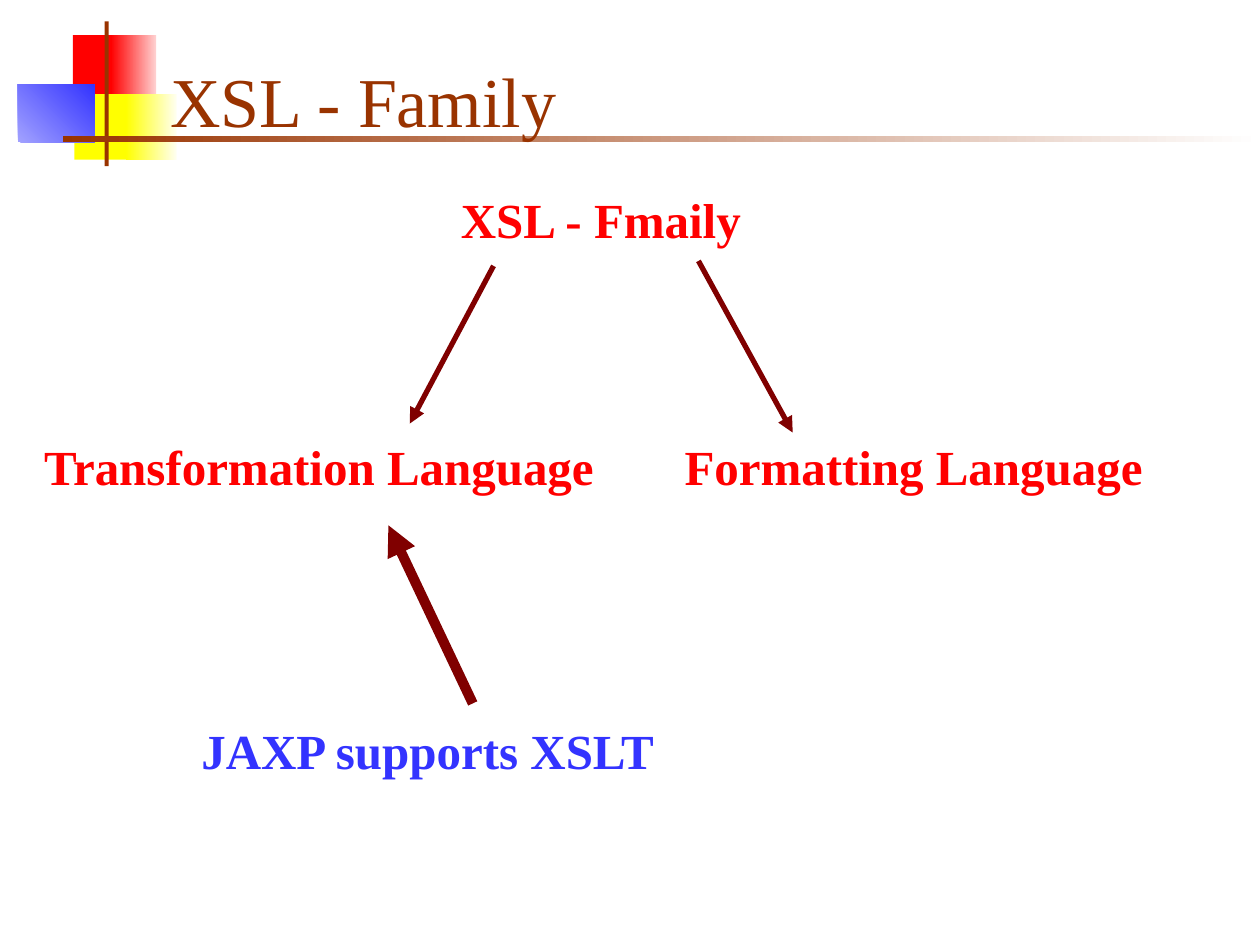
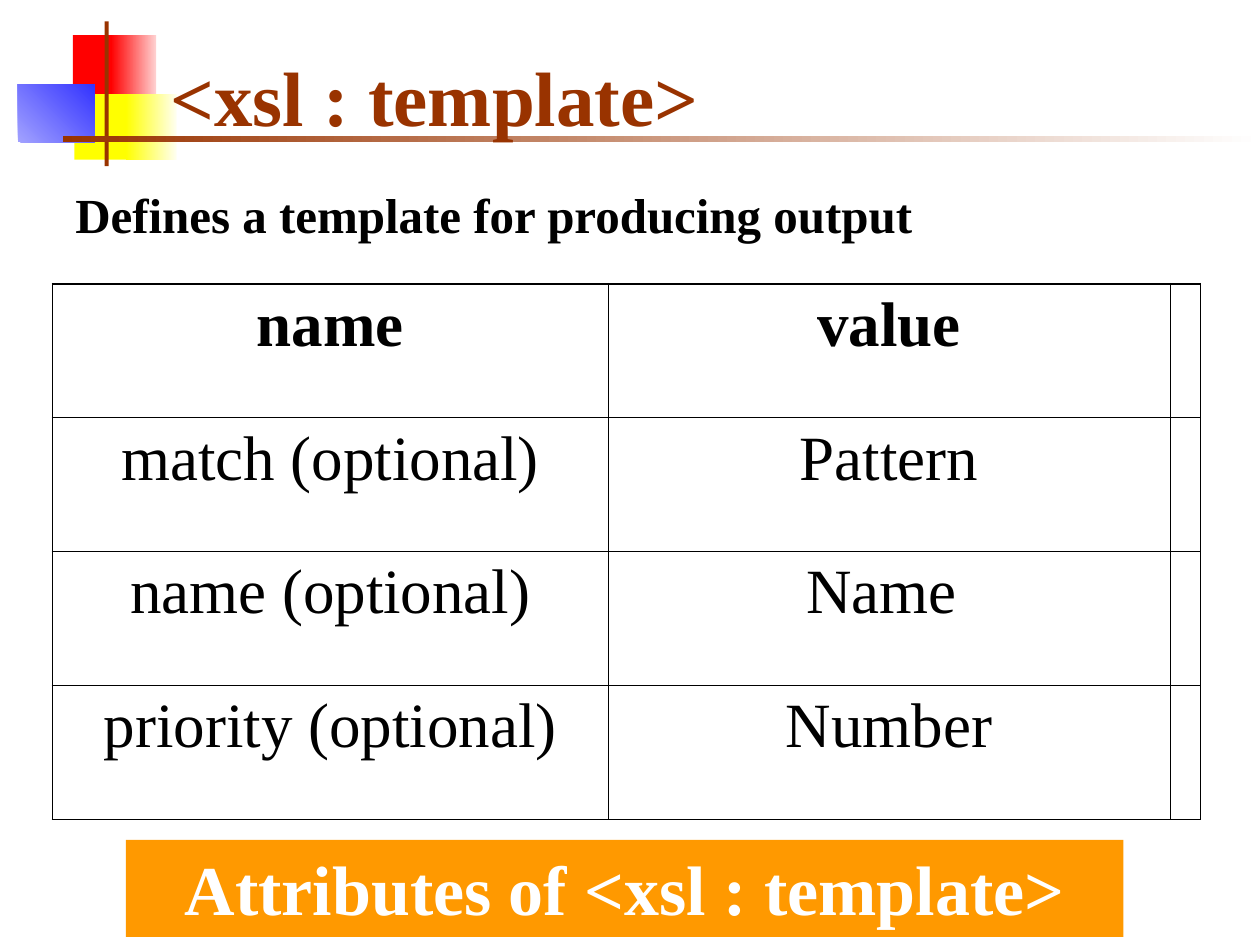
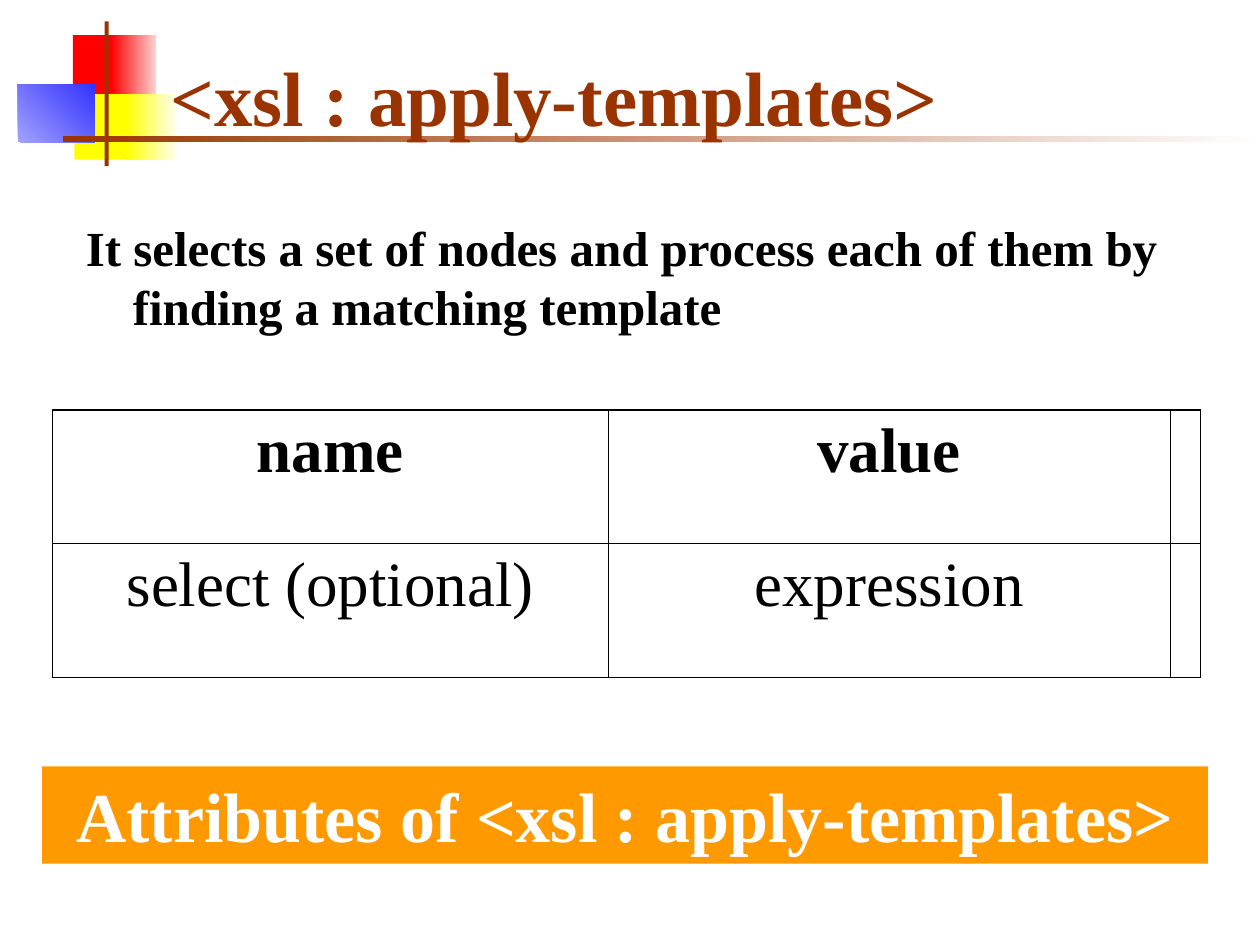
from lxml.etree import SubElement
from pptx import Presentation
from pptx.dml.color import RGBColor
from pptx.enum.shapes import MSO_CONNECTOR as Connector, MSO_SHAPE as Shape
from pptx.enum.text import MSO_ANCHOR as Anchor, MSO_AUTO_SIZE as AutoSize, PP_ALIGN as Align
from pptx.oxml.ns import qn
from pptx.util import Cm, Pt

FONT = "Times New Roman"
COLOURS = {
    "brown": "993300", "red": "FF0000", "pale red": "FFD1D1",
    "yellow": "FFFF00", "pale yellow": "FFFFF0", "blue": "3333FF",
    "pale blue": "A2A2FF", "maroon": "800000", "orange": "FF9900",
    "black": "000000", "white": "FFFFFF",
}
TITLE_BOX = (3.18, 0.64, 21.64, 2.34)
EMBLEM = [
    ((1.47, 0.71, 0.89, 1.32), ["red"], 0),
    ((2.24, 0.71, 0.91, 1.32), ["red", "pale red"], 0),
    ((1.5, 1.9, 1.17, 1.32), ["yellow"], 0),
    ((2.54, 1.9, 1.02, 1.32), ["yellow", "pale yellow"], 0),
    ((0.36, 1.7, 1.55, 1.17), ["pale blue", "blue"], 45),
    ((2.11, 0.43, 0.08, 2.92), ["brown"], 0),
    ((1.27, 2.74, 24.13, 0.13), ["brown", "white"], 0),
]
COLUMN_WIDTHS = (11.2, 11.33, 0.61)
ROW_HEIGHT = 2.7
OUTER_BORDER, INNER_BORDER = 1.08, 0.45


def colour(name):
    return RGBColor.from_string(COLOURS[name])


def lengths(box):
    return [Cm(value) for value in box]


def style_runs(paragraph, size, ink, bold=True):
    for run in paragraph.runs:
        run.font.name = FONT
        run.font.size = Pt(size)
        run.font.bold = bold
        run.font.color.rgb = colour(ink)


def add_block(slide, box, fills, angle=0):
    block = slide.shapes.add_shape(Shape.RECTANGLE, *lengths(box))
    block.shadow.inherit = False
    block.line.fill.background()
    if len(fills) == 1:
        block.fill.solid()
        block.fill.fore_color.rgb = colour(fills[0])
    else:
        block.fill.gradient()
        block.fill.gradient_angle = angle
        for stop, name in zip(block.fill.gradient_stops, fills):
            stop.color.rgb = colour(name)
    return block


def move_emblem_to_layout(slide):
    tree = slide.slide_layout.shapes.element
    for number, (box, fills, angle) in enumerate(EMBLEM, start=20):
        emblem_part = add_block(slide, box, fills, angle).element
        emblem_part.nvSpPr.cNvPr.set("id", str(number))
        tree.append(emblem_part)


def add_titled_slide(deck, title, size=44, bold=True):
    slide = deck.slides.add_slide(deck.slide_layouts[5])
    heading = slide.shapes.title
    heading.left, heading.top, heading.width, heading.height = lengths(TITLE_BOX)
    frame = heading.text_frame
    frame.text = title
    frame.auto_size = AutoSize.NONE
    frame.vertical_anchor = Anchor.BOTTOM
    frame.paragraphs[0].alignment = Align.LEFT
    style_runs(frame.paragraphs[0], size, "brown", bold)
    return slide


def write_hanging(frame, text, size, ink, space_before, align=Align.LEFT):
    frame.text = text
    frame.word_wrap = True
    frame.auto_size = AutoSize.SHAPE_TO_FIT_TEXT
    frame.vertical_anchor = Anchor.TOP
    paragraph = frame.paragraphs[0]
    paragraph.alignment = align
    paragraph.space_before = Pt(space_before)
    properties = paragraph._p.get_or_add_pPr()
    properties.set("marL", str(Cm(0.95)))
    properties.set("indent", str(-Cm(0.95)))
    style_runs(paragraph, size, ink)


def add_statement(slide, box, text, ink):
    statement = slide.shapes.add_textbox(*lengths(box))
    write_hanging(statement.text_frame, text, 28, ink, 17.5)


def add_banner(slide, box, text):
    banner = add_block(slide, box, ["orange"])
    write_hanging(banner.text_frame, text, 40, "white", 25, Align.CENTER)


def add_arrow(slide, ends, width):
    arrow = slide.shapes.add_connector(Connector.STRAIGHT, *lengths(ends))
    arrow.line.color.rgb = colour("maroon")
    arrow.line.width = Pt(width)
    properties = arrow.element.spPr
    SubElement(properties.find(qn("a:ln")), qn("a:tailEnd"), type="triangle")
    SubElement(properties, qn("a:effectLst"))


def draw_borders(cell, outer_sides):
    properties = cell._tc.get_or_add_tcPr()
    for side in "LRTB":
        width = OUTER_BORDER if side in outer_sides else INNER_BORDER
        border = SubElement(properties, qn(f"a:ln{side}"), w=str(Pt(width)))
        fill = SubElement(border, qn("a:solidFill"))
        SubElement(fill, qn("a:srgbClr"), val=COLOURS["black"])


def add_attribute_table(slide, left, top, attributes):
    rows = [("name", "value"), *attributes]
    box = (left, top, sum(COLUMN_WIDTHS), ROW_HEIGHT * len(rows))
    table = slide.shapes.add_table(len(rows), len(COLUMN_WIDTHS), *lengths(box)).table
    table.first_row = table.horz_banding = False
    for column, width in zip(table.columns, COLUMN_WIDTHS):
        column.width = Cm(width)
    last_row, last_column = len(rows) - 1, len(COLUMN_WIDTHS) - 1
    for r, row in enumerate(rows):
        table.rows[r].height = Cm(ROW_HEIGHT)
        for c in range(len(COLUMN_WIDTHS)):
            cell = table.cell(r, c)
            edges = {"L": c == 0, "R": c == last_column, "T": r == 0, "B": r == last_row}
            draw_borders(cell, [side for side, outer in edges.items() if outer])
            cell.fill.background()
            if c < len(row):
                cell.text_frame.text = row[c]
                paragraph = cell.text_frame.paragraphs[0]
                paragraph.alignment = Align.CENTER
                paragraph.space_before = Pt(9)
                style_runs(paragraph, 36, "black", r == 0)


def build_family_slide(deck):
    slide = add_titled_slide(deck, "XSL - Family", 40, False)
    move_emblem_to_layout(slide)
    for box, text, ink in [
        ((9.04, 3.7, 6.55, 1.45), "XSL - Fmaily", "red"),
        ((0.64, 8.68, 12.27, 1.45), "Transformation Language", "red"),
        ((13.55, 8.68, 11, 1.45), "Formatting Language", "red"),
        ((3.81, 14.4, 9.95, 1.45), "JAXP supports XSLT", "blue"),
    ]:
        add_statement(slide, box, text, ink)
    add_arrow(slide, (9.95, 5.36, 8.26, 8.54), 3)
    add_arrow(slide, (14.08, 5.26, 15.98, 8.72), 3)
    add_arrow(slide, (9.53, 14.18, 7.83, 10.59), 5.75)


def build_element_slide(deck, element, purpose, purpose_box, table_top, attributes, banner_box):
    slide = add_titled_slide(deck, element)
    add_statement(slide, purpose_box, purpose, "black")
    add_attribute_table(slide, 1.06, table_top, attributes)
    add_banner(slide, banner_box, f"Attributes of {element}")


def main():
    deck = Presentation()
    deck.slide_width, deck.slide_height = Cm(25.4), Cm(19.05)
    build_family_slide(deck)
    build_element_slide(
        deck, "<xsl : template>",
        "Defines a template for producing output", (1.27, 3.6, 20.53, 1.45),
        5.72,
        [("match (optional)", "Pattern"), ("name (optional)", "Name "),
         ("priority (optional)", "Number")],
        (2.54, 16.93, 20.11, 1.96),
    )
    build_element_slide(
        deck, "<xsl : apply-templates>",
        "It selects a set of nodes and process each of them by finding a matching template",
        (1.48, 4.27, 22.43, 2.64),
        8.26,
        [("select (optional)", "expression")],
        (0.85, 15.45, 23.5, 1.96),
    )
    deck.save("out.pptx")


if __name__ == "__main__":
    main()
